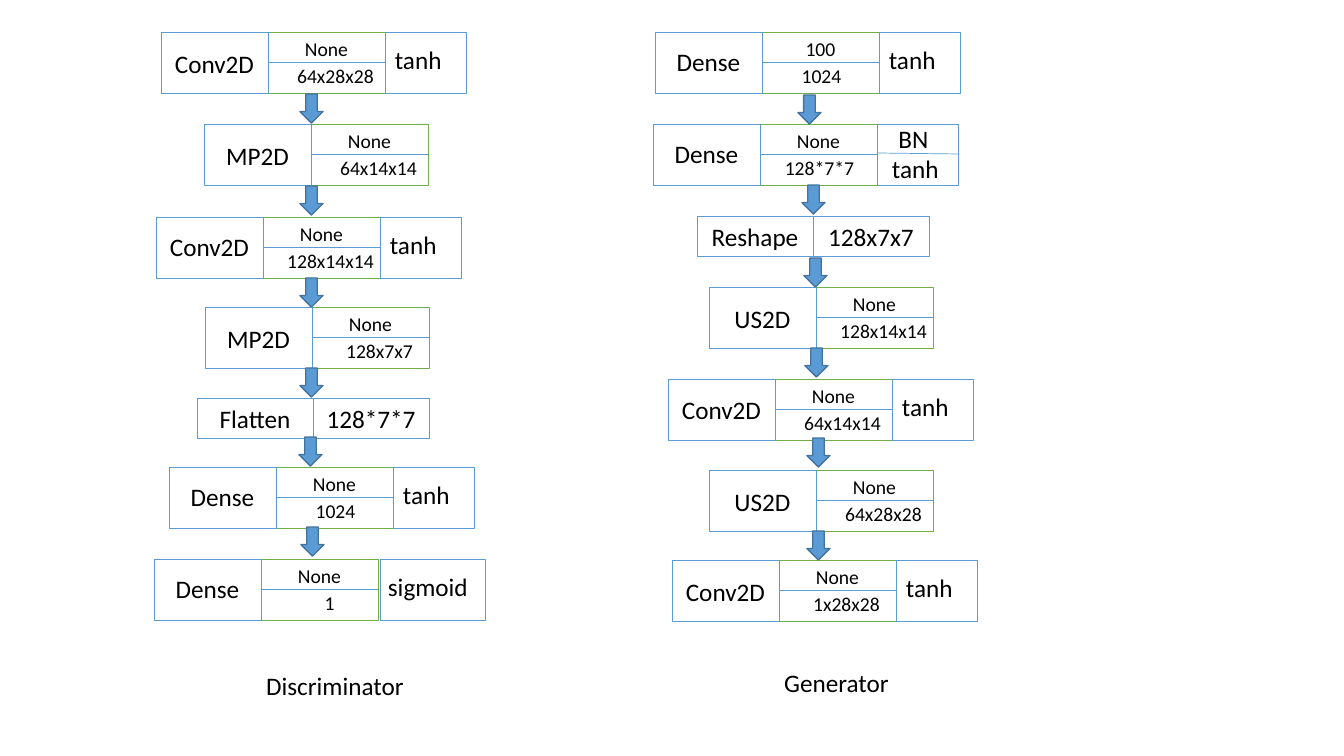
from dataclasses import dataclass
from lxml import etree
from pptx import Presentation
from pptx.dml.color import RGBColor
from pptx.enum.shapes import MSO_CONNECTOR, MSO_SHAPE
from pptx.enum.text import MSO_ANCHOR, PP_ALIGN
from pptx.oxml.ns import qn
from pptx.util import Pt

RECT, DOWN_ARROW = MSO_SHAPE.RECTANGLE, MSO_SHAPE.DOWN_ARROW
STRAIGHT = MSO_CONNECTOR.STRAIGHT
LEFT, CENTER = PP_ALIGN.LEFT, PP_ALIGN.CENTER
TOP, MIDDLE = MSO_ANCHOR.TOP, MSO_ANCHOR.MIDDLE


@dataclass(frozen=True)
class Theme:
    font: str = "Calibri"
    text: str = "000000"
    white: str = "FFFFFF"
    blue: str = "5B9BD5"
    green: str = "70AD47"
    arrow_edge: str = "43739E"
    large: int = 18
    small: int = 14
    hairline: float = 0.5
    arrow_line: float = 1


THEME = Theme()

# Content: left, top, name, name drop, input, output, output shift, activations
# A layer without an input is a plain pair of boxes.
NETWORKS = [
    {
        "caption": ("Discriminator", 118, 665, 434),
        "layers": [
            (161, 32, "Conv2D", 11, "None", "64x28x28", 8, ["tanh"]),
            (204, 124, "MP2D", 11, "None", "64x14x14", 8, []),
            (156, 217, "Conv2D", 9, "None", "128x14x14", 8, ["tanh"]),
            (205, 307, "MP2D", 11, "None", "128x7x7", 8, []),
            (197, 398, "Flatten", 0, None, "128*7*7", 0, []),
            (169, 467, "Dense", 9, "None", "1024", 0, ["tanh"]),
            (154, 559, "Dense", 9, "None", "1", 9, ["sigmoid"]),
        ],
        "arrows": [(300, 94), (300, 186), (300, 278), (300, 368), (299, 437), (301, 527)],
    },
    {
        "caption": ("Generator", 676, 662, 321),
        "layers": [
            (655, 32, "Dense", 9, "100", "1024", 0, ["tanh"]),
            (653, 124, "Dense", 9, "None", "128*7*7", 0, ["BN", "tanh"]),
            (697, 216, "Reshape", 0, None, "128x7x7", 0, []),
            (709, 287, "US2D", 11, "None", "128x14x14", 8, []),
            (668, 379, "Conv2D", 10, "None", "64x14x14", 8, ["tanh"]),
            (709, 470, "US2D", 11, "None", "64x28x28", 8, []),
            (672, 560, "Conv2D", 11, "None", "1x28x28", 8, ["tanh"]),
        ],
        "arrows": [(798, 95), (802, 185), (804, 258), (805, 348), (807, 438), (807, 531)],
    },
]

# Sizes in pixels
NAME_W, SIZES_W, LAYER_H = 107, 117, 61
ACTIVATION_W = {"tanh": 81, "sigmoid": 105}
ACTIVATION_GAP = {"tanh": 0, "sigmoid": 2}
PAIR_W, PAIR_H = 116, 40
ARROW_W, ARROW_H = 23, 29
LARGE_H, SMALL_H = 40, 34
SPLIT_Y, OUTPUT_Y, ACTIVATION_Y = 30, 27, 7


def px(length):
    return round(length * 914400 / 100.8)


def color(code):
    return RGBColor.from_string(code)


def write(box, text, size, align=CENTER, anchor=TOP):
    frame = box.text_frame
    frame.word_wrap = True
    frame.vertical_anchor = anchor
    frame.text = text
    paragraph = frame.paragraphs[0]
    paragraph.alignment = align
    font = paragraph.runs[0].font
    font.name, font.size = THEME.font, Pt(size)
    font.color.rgb = color(THEME.text)


def add_label(parent, x, y, w, h, text, size, align=CENTER):
    label = parent.add_textbox(px(x), px(y), px(w), px(h))
    write(label, text, size, align)


def add_box(parent, kind, x, y, w, h, edge, fill=None, weight=THEME.hairline):
    box = parent.add_shape(kind, px(x), px(y), px(w), px(h))
    box.shadow.inherit = False
    if fill:
        box.fill.solid()
        box.fill.fore_color.rgb = color(fill)
    else:
        box.fill.background()
    box.line.color.rgb = color(edge)
    box.line.width = Pt(weight)
    return box


def add_divider(parent, x1, y1, x2, y2):
    divider = parent.add_connector(STRAIGHT, px(x1), px(y1), px(x2), px(y2))
    divider.line.color.rgb = color(THEME.blue)
    divider.line.width = Pt(THEME.hairline)
    etree.SubElement(divider._element.spPr, qn("a:effectLst"))


def add_pair(parent, x, y, name, output):
    for column, text in enumerate((name, output)):
        box = add_box(parent, RECT, x + column * PAIR_W, y, PAIR_W, PAIR_H, THEME.blue)
        write(box, text, THEME.large, anchor=MIDDLE)


def add_activations(parent, x, y, activations):
    last = activations[-1]
    width = ACTIVATION_W[last]
    add_box(parent, RECT, x + ACTIVATION_GAP[last], y, width, LAYER_H, THEME.blue)
    if len(activations) == 1:
        add_label(parent, x, y + ACTIVATION_Y, width + 2, LARGE_H, last, THEME.large, LEFT)
    else:
        add_divider(parent, x, y + SPLIT_Y - 1, x + width, y + SPLIT_Y)
        add_label(parent, x - 5, y - 6, width + 2, LARGE_H, activations[0], THEME.large)
        add_label(parent, x + 5, y + 24, width + 2, LARGE_H, last, THEME.large, LEFT)


def add_layer(parent, x, y, name, name_drop, source, output, shift, activations):
    if source is None:
        add_pair(parent, x, y, name, output)
        return
    sizes_x = x + NAME_W
    end_x = sizes_x + SIZES_W
    add_box(parent, RECT, sizes_x, y, SIZES_W, LAYER_H, THEME.green, THEME.white)
    add_divider(parent, sizes_x, y + SPLIT_Y, end_x, y + SPLIT_Y)
    if activations:
        add_activations(parent, end_x, y, activations)
    add_box(parent, RECT, x, y, NAME_W, LAYER_H, THEME.blue)
    add_label(parent, x, y + name_drop, NAME_W, LARGE_H, name, THEME.large)
    add_label(parent, sizes_x, y, SIZES_W, SMALL_H, source, THEME.small)
    add_label(parent, sizes_x + shift, y + OUTPUT_Y, SIZES_W + 2, SMALL_H, output, THEME.small)


# Slide
deck = Presentation()
deck.slide_width, deck.slide_height = px(1344), px(756)
slide = deck.slides.add_slide(deck.slide_layouts[6])

# Networks: layers, flow arrows, caption
for network in NETWORKS:
    for layer in network["layers"]:
        add_layer(slide.shapes.add_group_shape().shapes, *layer)
    for x, y in network["arrows"]:
        add_box(slide.shapes, DOWN_ARROW, x, y, ARROW_W, ARROW_H,
                THEME.arrow_edge, THEME.blue, THEME.arrow_line)
    caption, x, y, width = network["caption"]
    add_label(slide.shapes, x, y, width, LARGE_H, caption, THEME.large)

deck.save("out.pptx")
